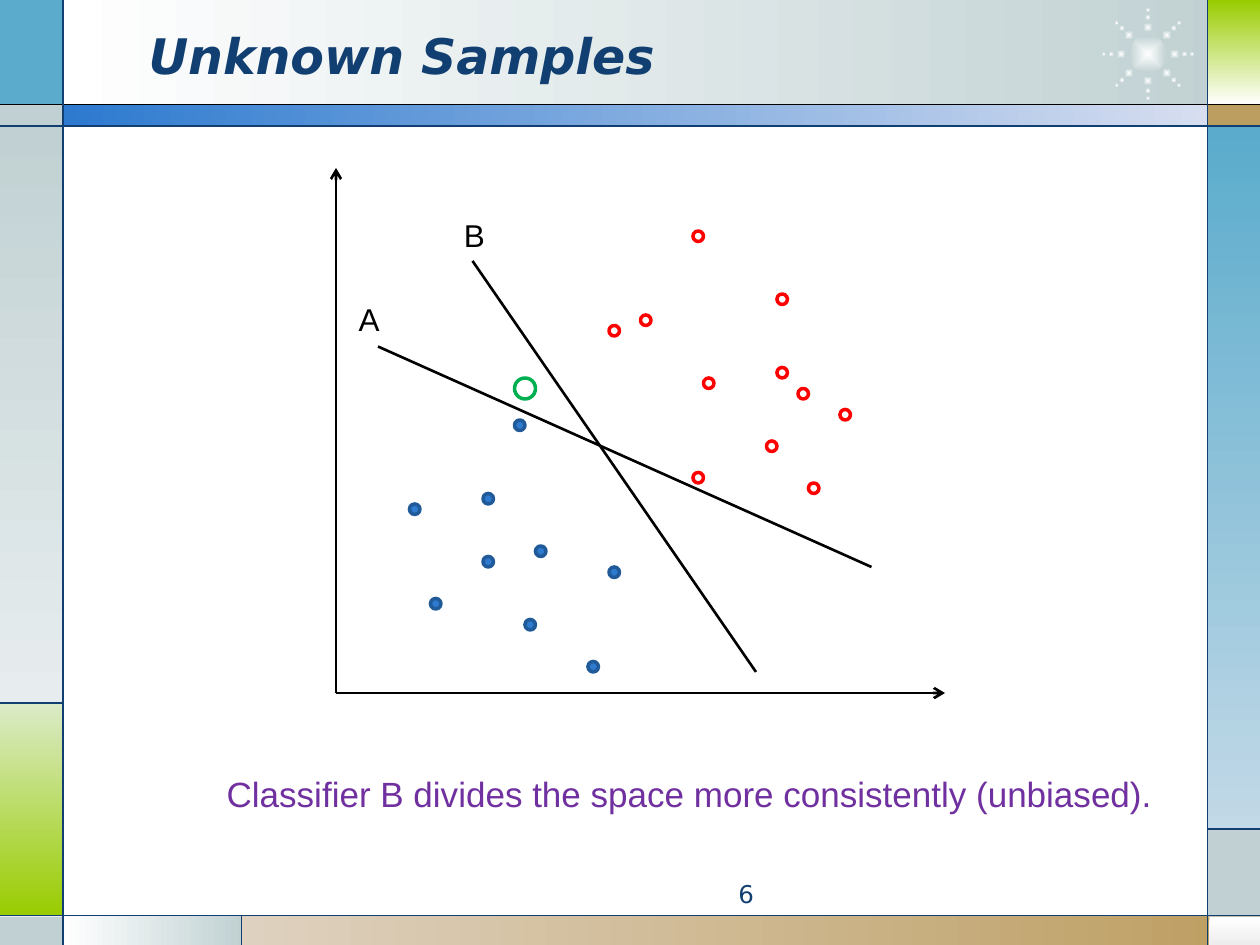
"""Build the "Unknown Samples" slide: two classifiers on a scatter sketch."""
from math import cos, radians, sin

from lxml import etree
from pptx import Presentation
from pptx.dml.color import RGBColor
from pptx.enum.shapes import MSO_CONNECTOR, MSO_SHAPE
from pptx.enum.text import MSO_ANCHOR, MSO_AUTO_SIZE, PP_ALIGN
from pptx.oxml import parse_xml
from pptx.oxml.ns import nsdecls, qn
from pptx.util import Cm, Pt

RECT, OVAL = MSO_SHAPE.RECTANGLE, MSO_SHAPE.OVAL
STRAIGHT = MSO_CONNECTOR.STRAIGHT
LEFT, RIGHT = PP_ALIGN.LEFT, PP_ALIGN.RIGHT
MIDDLE = MSO_ANCHOR.MIDDLE
FIT = MSO_AUTO_SIZE.SHAPE_TO_FIT_TEXT
NAVY, BLACK, GREY, WHITE = "113F71", "000000", "C1D1D3", "FFFFFF"
GRID = 2.54 / 12
rgb = RGBColor.from_string


def add_filled(kind, x, y, w, h, colours=(), angle=0, outline=None):
    """Add a shape with no, solid or two-colour gradient fill."""
    sp = s.shapes.add_shape(kind, Cm(x), Cm(y), Cm(w), Cm(h))
    sp.shadow.inherit = False
    if len(colours) == 2:
        sp.fill.gradient()
        sp.fill.gradient_angle = angle
        for stop, colour in zip(sp.fill.gradient_stops, colours):
            stop.color.rgb = rgb(colour)
    elif colours:
        sp.fill.solid()
        sp.fill.fore_color.rgb = rgb(colours[0])
    else:
        sp.fill.background()
    if outline:
        sp.line.color.rgb = rgb(outline)
        sp.line.width = Pt(2)
    else:
        sp.line.fill.background()
    return sp


def add_line(x1, y1, x2, y2, colour, width, arrow=False):
    """Add a straight line, optionally with an arrowhead at its end."""
    c = s.shapes.add_connector(STRAIGHT, Cm(x1), Cm(y1), Cm(x2), Cm(y2))
    c.line.color.rgb = rgb(colour)
    c.line.width = Pt(width)
    if arrow:
        etree.SubElement(c.line._get_or_add_ln(), qn("a:tailEnd"), type="arrow")
    etree.SubElement(c._element.spPr, qn("a:effectLst"))


prs = Presentation()
prs.slide_width, prs.slide_height = Cm(25.4), Cm(19.05)
s = prs.slides.add_slide(prs.slide_layouts[5])

panels = [
    (1.27, 0, 23.55, 2.13, (WHITE, GREY), 0),
    (0, 0, 1.27, 2.13, ("5AABCC",), 0),
    (0, 2.11, 1.27, 0.43, (GREY,), 0),
    (0, 2.54, 1.27, 11.63, (GREY, "E7EDEE"), 270),
    (0, 14.17, 1.27, 4.3, ("DBEBC9", "99CC00"), 270),
    (0, 18.48, 1.27, 0.57, (GREY,), 0),
    (1.27, 18.46, 3.62, 0.59, (WHITE, GREY), 0),
    (4.88, 18.46, 20.52, 0.59, ("DED1BF", "BD9E61"), 0),
    (24.38, 18.48, 1.02, 0.57, (WHITE, "EDEDED"), 270),
    (24.35, 16.71, 1.05, 1.77, (GREY,), 0),
    (24.33, 2.54, 1.07, 14.17, ("5AABCC", "C2D9E7"), 270),
    (24.33, 2.11, 1.07, 0.43, ("BD9E61",), 0),
    (24.35, 0, 1.05, 2.11, ("99CC00", WHITE), 270),
    (1.27, 2.11, 23.08, 0.43, ("2D7ACF", "D7DEF0"), 0),
]
for x, y, w, h, colours, angle in panels:
    add_filled(RECT, x, y, w, h, colours, angle)

star_dots = [(0, 0, 0.76)]
for arm in range(8):
    for radius, size in ((0.54, 0.19), (0.74, 0.12), (0.89, 0.09)):
        star_dots.append((radius, radians(45 * arm), size))
for radius, turn, size in star_dots:
    x = 23.14 + radius * cos(turn) - size / 2
    y = 1.09 + radius * sin(turn) - size / 2
    sp = add_filled(OVAL, x, y, size, size, (WHITE, GREY))
    grad = sp._element.spPr.find(qn("a:gradFill"))
    grad.replace(grad.find(qn("a:lin")), parse_xml(
        f'<a:path {nsdecls("a")} path="shape"><a:fillToRect '
        'l="50000" t="50000" r="50000" b="50000"/></a:path>'))

rules = [
    (0, 2.11, 25.4, 2.11, BLACK),
    (0, 2.54, 25.4, 2.54, NAVY),
    (0, 18.46, 25.4, 18.46, NAVY),
    (1.27, 0, 1.27, 19.05, NAVY),
    (24.34, 0, 24.34, 19.05, NAVY),
    (1.27, 14.17, 0, 14.17, NAVY),
    (4.87, 18.46, 4.87, 19.05, NAVY),
    (24.34, 16.71, 25.4, 16.71, NAVY),
]
for rule in rules:
    add_line(*rule, 0.75)

title = s.shapes.title
s.shapes._spTree.append(title._element)
title.left, title.top, title.width, title.height = Cm(2.74), Cm(0.33), Cm(18.62), Cm(1.57)
tf = title.text_frame
tf.text = "Unknown Samples"
tf.vertical_anchor = MIDDLE
p = tf.paragraphs[0]
p.alignment = LEFT
font = p.runs[0].font
font.name, font.size, font.bold, font.italic = "DejaVu Sans", Pt(28), True, True
font.color.rgb = rgb(NAVY)

add_line(32 * GRID, 66 * GRID, 90 * GRID, 66 * GRID, BLACK, 1.5, arrow=True)
add_line(32 * GRID, 66 * GRID, 32 * GRID, 16 * GRID, BLACK, 1.5, arrow=True)

blue_samples = [(39, 48), (46, 47), (46, 53), (58, 54), (51, 52),
                (50, 59), (49, 40), (56, 63), (41, 57)]
red_samples = [(61, 30), (74, 35), (66, 22), (67, 36), (66, 45), (58, 31),
               (73, 42), (74, 28), (77, 46), (80, 39), (76, 37)]
for samples, colours, outline in ((blue_samples, ("2D7ACF",), "215A99"),
                                  (red_samples, (), "FF0000")):
    for column, row in samples:
        add_filled(OVAL, column * GRID, row * GRID, GRID, GRID, colours, outline=outline)
add_filled(OVAL, 49 * GRID, 36 * GRID, 2 * GRID, 2 * GRID, outline="00B050")

add_line(36 * GRID, 33 * GRID, 83 * GRID, 54 * GRID, BLACK, 1.5)
add_line(45 * GRID, 5.26, 72 * GRID, 64 * GRID, BLACK, 1.5)

texts = [
    ("A", 6.98, 5.93, 0.94, 1.02, "Arial", 18, BLACK, LEFT),
    ("B", 9.1, 4.23, 0.94, 1.02, "Arial", 18, BLACK, LEFT),
    ("Classifier B divides the space more consistently (unbiased).",
     4.32, 15.45, 19.3, 1.11, "Arial", 20, "7030A0", LEFT),
    ("6", 9.53, 17.6, 5.92, 0.69, "DejaVu Sans", 14, NAVY, RIGHT),
]
for text, x, y, w, h, name, size, colour, align in texts:
    tf = s.shapes.add_textbox(Cm(x), Cm(y), Cm(w), Cm(h)).text_frame
    tf.text = text
    tf.word_wrap = align == RIGHT
    if align == LEFT:
        tf.auto_size = FIT
    p = tf.paragraphs[0]
    p.alignment = align
    font = p.runs[0].font
    font.name, font.size = name, Pt(size)
    font.color.rgb = rgb(colour)

prs.save("out.pptx")
